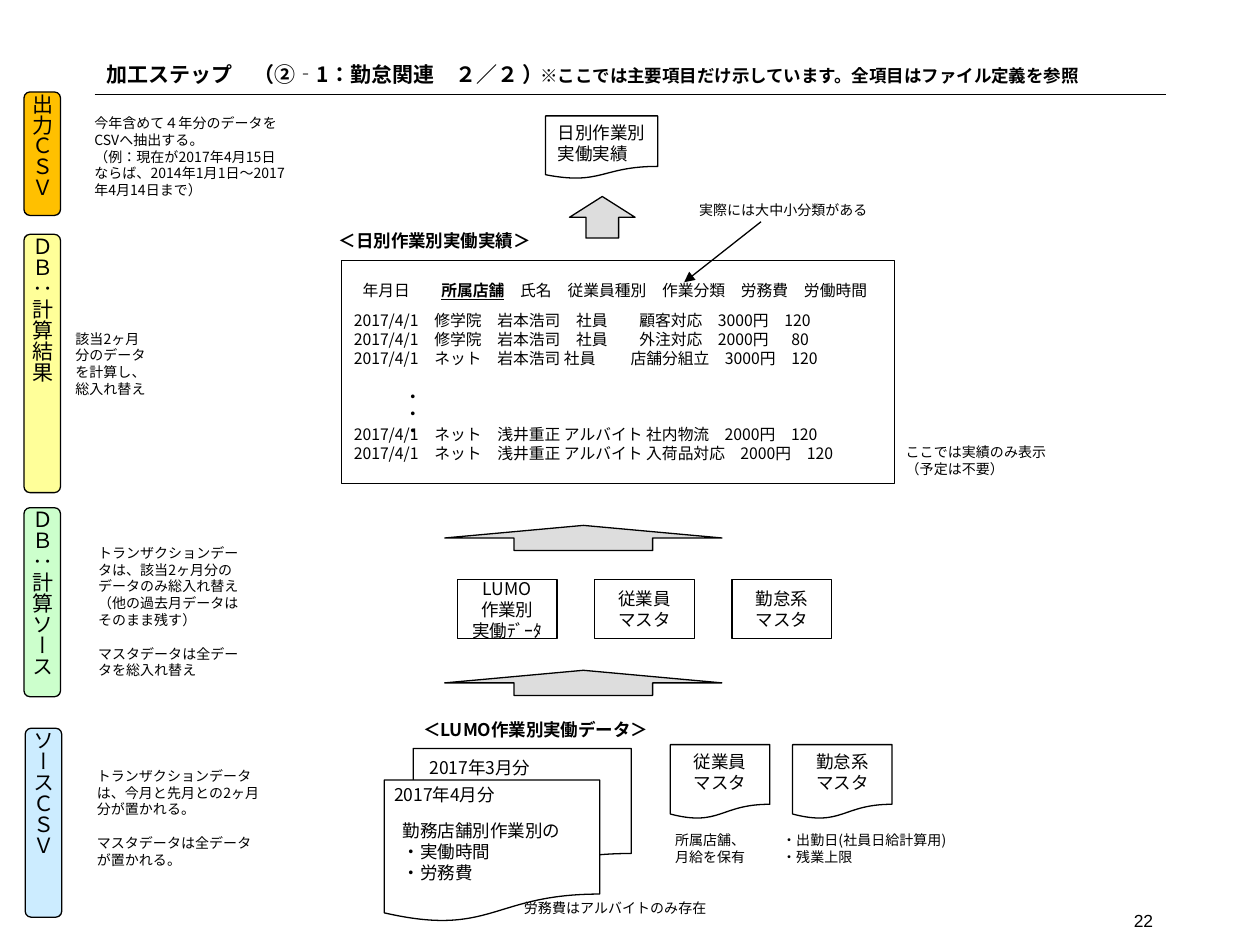
import pptx
import pptx.dml.color
import pptx.enum.lang
import pptx.enum.shapes
import pptx.enum.text
import pptx.oxml
import pptx.oxml.ns
import pptx.util
from pptx.util import Inches

GOTHIC = "Noto Sans CJK JP"
SHAPES = pptx.enum.shapes.MSO_SHAPE
ANCHOR = pptx.enum.text.MSO_ANCHOR
ALIGN = pptx.enum.text.PP_ALIGN
JAPANESE = pptx.enum.lang.MSO_LANGUAGE_ID.JAPANESE
LINE_PITCH = 1.2


def color(value):
    """Turn a hex string into a colour."""
    return pptx.dml.color.RGBColor.from_string(value)


def bounds(box, left, top, width, height):
    """Place a part relative to the corner of a region box."""
    return Inches(box[0] + left), Inches(box[1] + top), Inches(width), Inches(height)


def write(shape, lines, size, bold=False, align=ALIGN.LEFT, anchor=ANCHOR.TOP,
          font=GOTHIC, gaps=None, vertical=False, inset=True):
    """Write lines of text, each a string or a list of (text, emphasis) runs."""
    frame = shape.text_frame
    frame.word_wrap = True
    frame.vertical_anchor = anchor
    if vertical:
        frame._txBody.bodyPr.set("vert", "eaVert")
    if not inset:
        frame.margin_left = frame.margin_right = 0
        frame.margin_top = frame.margin_bottom = 0
    for index, line in enumerate(lines):
        paragraph = frame.paragraphs[0] if index == 0 else frame.add_paragraph()
        paragraph.alignment = align
        paragraph.line_spacing = pptx.util.Pt(round(size * LINE_PITCH, 1))
        if gaps and index in gaps:
            paragraph.space_before = pptx.util.Pt(gaps[index])
        runs = [(line, False)] if isinstance(line, str) else line
        for text, emphasis in runs:
            run = paragraph.add_run()
            run.text = text
            run.font.size = pptx.util.Pt(size)
            run.font.name = font
            run.font.bold = bold or emphasis
            run.font.underline = emphasis
            run.font.language_id = JAPANESE
            run.font.color.rgb = color("000000")
            east_asian = pptx.oxml.parse_xml(
                f'<a:ea {pptx.oxml.ns.nsdecls("a")} typeface="{font}"/>')
            run.font._element.find(pptx.oxml.ns.qn("a:latin")).addnext(east_asian)


def label(slide, place, lines, size=8, **style):
    """Add a text box."""
    shape = slide.shapes.add_textbox(*place)
    write(shape, lines, size, **style)
    return shape


def block(slide, kind, place, fill="FFFFFF", lines=(), size=10, **style):
    """Add an outlined preset shape, with text if given."""
    shape = slide.shapes.add_shape(kind, *place)
    shape.shadow.inherit = False
    if fill:
        shape.fill.solid()
        shape.fill.fore_color.rgb = color(fill)
    else:
        shape.fill.background()
    shape.line.color.rgb = color("000000")
    shape.line.width = pptx.util.Pt(0.75)
    write(shape, lines, size, **style)


def connect(slide, box, start, end, arrow=False):
    """Draw a straight line, with an arrowhead at its end if asked."""
    points = [Inches(corner + offset) for point in (start, end)
              for corner, offset in zip(box, point)]
    connector = slide.shapes.add_connector(
        pptx.enum.shapes.MSO_CONNECTOR.STRAIGHT, *points)
    connector.line.color.rgb = color("000000")
    connector.line.width = pptx.util.Pt(0.75)
    namespace = pptx.oxml.ns.nsdecls("a")
    if arrow:
        connector.line._get_or_add_ln().append(
            pptx.oxml.parse_xml(f'<a:tailEnd {namespace} type="triangle"/>'))
    connector._element.spPr.append(pptx.oxml.parse_xml(f"<a:effectLst {namespace}/>"))


def stage_tag(slide, box, height, fill, name):
    """Add the vertical name tag of a stage."""
    block(slide, SHAPES.ROUNDED_RECTANGLE, bounds(box, 0, 0, 0.29, height), fill,
          [name], 12, anchor=ANCHOR.MIDDLE, vertical=True, inset=False)


def up_arrow(slide, place):
    """Add a grey arrow that leads to the stage above."""
    block(slide, SHAPES.UP_ARROW, place, "DDDDDD")


def heading(slide, box):
    """Build the title, its remark and the rule below."""
    connect(slide, box, (0, 0.31), (8.5, 0.31))
    label(slide, bounds(box, 0, 0, 5.67, 0.29),
          ["加工ステップ　（②‐1：勤怠関連　２／２ ）"], 12, bold=True, anchor=ANCHOR.MIDDLE)
    label(slide, bounds(box, 3.44, 0.03, 4.8, 0.27),
          ["※ここでは主要項目だけ示しています。全項目はファイル定義を参照"], 10, bold=True)


def output_stage(slide, box):
    """Build the exported file stage."""
    stage_tag(slide, box, 0.98, "FFC000", "出力ＣＳＶ")
    label(slide, bounds(box, 0.46, 0.13, 1.73, 0.77),
          ["今年含めて４年分のデータをCSVへ抽出する。",
           "（例：現在が2017年4月15日ならば、2014年1月1日～2017年4月14日まで）"])
    block(slide, SHAPES.FLOWCHART_DOCUMENT, bounds(box, 4.14, 0.19, 0.89, 0.5),
          lines=["日別作業別", "実働実績"])
    up_arrow(slide, bounds(box, 4.33, 0.83, 0.52, 0.33))


def result_stage(slide, box):
    """Build the calculated records stage."""
    stage_tag(slide, box, 2.05, "FFFF99", "ＤＢ：計算結果")
    label(slide, bounds(box, 0.31, 0.71, 0.78, 0.64),
          ["該当2ヶ月分のデータを計算し、総入れ替え"])
    label(slide, bounds(box, 2.4, -0.08, 2.36, 0.27),
          ["＜日別作業別実働実績＞"], 10, bold=True)
    block(slide, SHAPES.RECTANGLE, bounds(box, 2.52, 0.21, 4.39, 1.77), None)
    label(slide, bounds(box, 2.59, 0.32, 4.32, 0.25),
          [[("年月日　　", False), ("所属店舗", True),
            ("　氏名　従業員種別　作業分類　労務費　労働時間", False)]], 9)
    records = ["修学院　岩本浩司　社員　　顧客対応　3000円　120",
               "修学院　岩本浩司　社員　　外注対応　2000円　  80",
               "ネット　岩本浩司 社員 　　店舗分組立　3000円　120",
               "ネット　浅井重正 アルバイト 社内物流　2000円　120",
               "ネット　浅井重正 アルバイト 入荷品対応　2000円　120"]
    label(slide, bounds(box, 2.52, 0.56, 4.26, 1.31),
          [f"2017/4/1　{record}" for record in records], 9, gaps={3: 32.4})
    dots = label(slide, bounds(box, 2.85, 1.12, 0.37, 0.31), ["・・・"], 10,
                 font="Arial", vertical=True)
    dots.text_frame.word_wrap = False
    label(slide, bounds(box, 6.9, 1.61, 1.43, 0.37),
          ["ここでは実績のみ表示（予定は不要）"])
    label(slide, bounds(box, 5.26, -0.31, 1.64, 0.24), ["実際には大中小分類がある"])
    connect(slide, box, (5.85, -0.1), (5.24, 0.38), arrow=True)


def table_stage(slide, box):
    """Build the stage of tables that feed the calculation."""
    stage_tag(slide, box, 1.5, "CCFFCC", "ＤＢ：計算ソース")
    label(slide, bounds(box, 0.49, 0.24, 1.33, 1.18),
          ["トランザクションデータは、該当2ヶ月分のデータのみ総入れ替え（他の過去月データはそのまま残す）",
           "マスタデータは全データを総入れ替え"], gaps={1: 9.6})
    for top in (0.14, 1.29):
        up_arrow(slide, bounds(box, 3.34, top, 2.2, 0.2))
    tables = [["LUMO", "作業別", "実働ﾃﾞｰﾀ"], ["従業員", "マスタ"], ["勤怠系", "マスタ"]]
    for column, lines in enumerate(tables):
        block(slide, SHAPES.RECTANGLE, bounds(box, 3.44 + column * 1.09, 0.57, 0.79, 0.47),
              lines=lines, align=ALIGN.CENTER, anchor=ANCHOR.MIDDLE)


def source_stage(slide, box):
    """Build the source file stage."""
    stage_tag(slide, box, 1.5, "CCECFF", "ソースＣＳＶ")
    label(slide, bounds(box, 0.47, 0.26, 1.52, 0.91),
          ["トランザクションデータは、今月と先月との2ヶ月分が置かれる。",
           "マスタデータは全データが置かれる。"], gaps={1: 9.6})
    label(slide, bounds(box, 3.06, -0.12, 2.08, 0.27),
          ["＜LUMO作業別実働データ＞"], 10, bold=True)
    months = [("2017年3月分", 3.08, 0.16, 1.73, 1.04, 3.11, 0.18),
              ("2017年4月分", 2.85, 0.41, 1.71, 1.13, 2.83, 0.39)]
    for month, left, top, width, height, text_left, text_top in months:
        block(slide, SHAPES.FLOWCHART_DOCUMENT, bounds(box, left, top, width, height))
        label(slide, bounds(box, text_left, text_top, 1.12, 0.27), [month], 10)
    label(slide, bounds(box, 2.9, 0.68, 1.57, 0.61),
          ["勤務店舗別作業別の", "・実働時間", "・労務費"], 10)
    label(slide, bounds(box, 3.86, 1.31, 1.69, 0.24), ["労務費はアルバイトのみ存在"])
    masters = [("従業員", 5.12, 5.06, 0.84, ["所属店舗、月給を保有"]),
               ("勤怠系", 6.09, 5.91, 1.63, ["・出勤日(社員日給計算用)", "・残業上限"])]
    for name, left, note_left, note_width, note in masters:
        block(slide, SHAPES.FLOWCHART_DOCUMENT, bounds(box, left, 0.13, 0.79, 0.59),
              lines=[name, "マスタ"], align=ALIGN.CENTER)
        label(slide, bounds(box, note_left, 0.77, note_width, 0.37), note)


def main():
    """Build the slide and save it."""
    presentation = pptx.Presentation()
    presentation.slide_width = Inches(10)
    presentation.slide_height = Inches(7.5)
    slide = presentation.slides.add_slide(presentation.slide_layouts[6])
    heading(slide, (0.75, 0.44))
    output_stage(slide, (0.19, 0.73))
    result_stage(slide, (0.19, 1.86))
    table_stage(slide, (0.19, 4.03))
    source_stage(slide, (0.2, 5.78))
    label(slide, bounds((0, 0), 7.17, 7.17, 2.08, 0.25), ["22"], 10,
          font="Arial", align=ALIGN.RIGHT)
    presentation.save("out.pptx")


if __name__ == "__main__":
    main()
